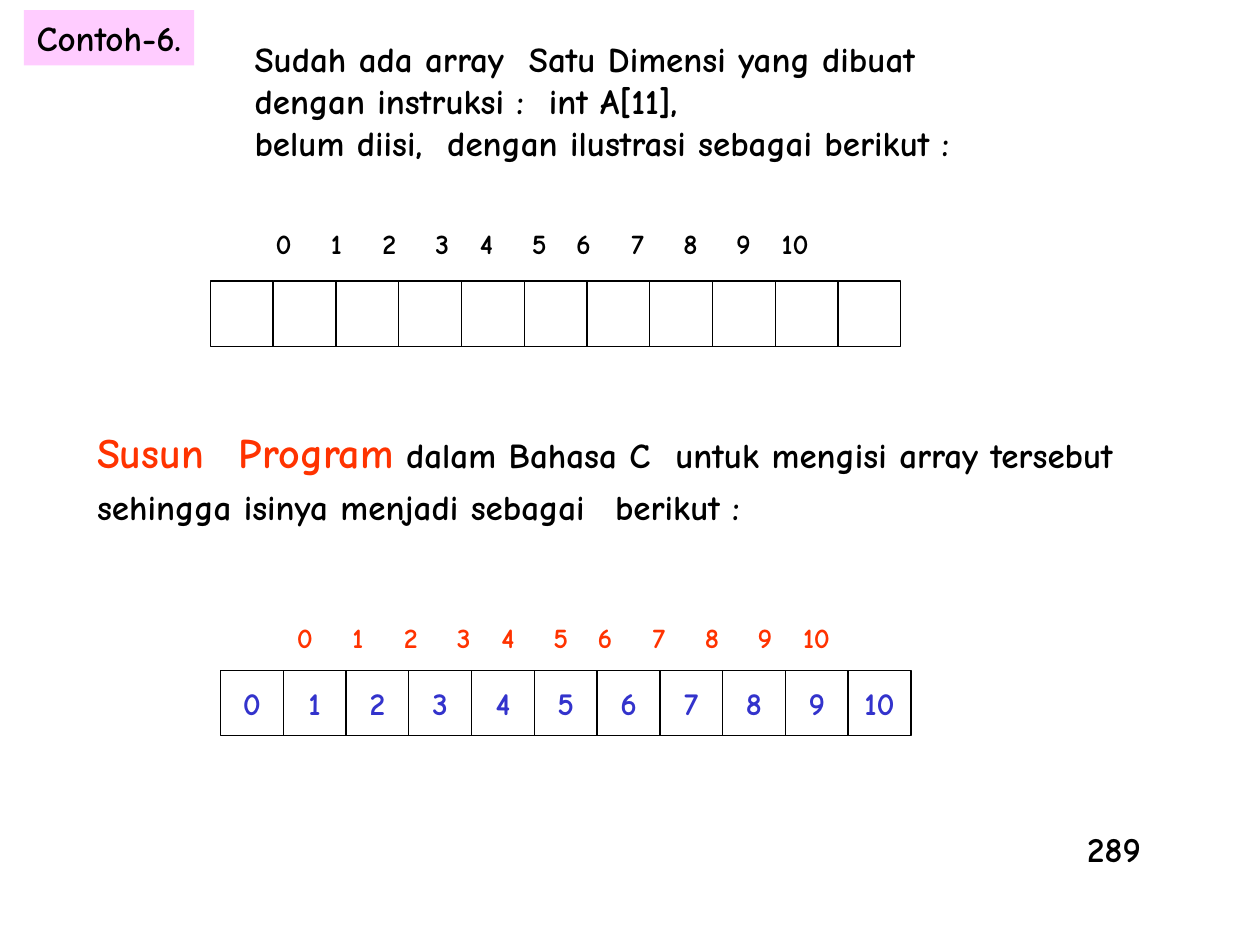
import pptx
import pptx.util
import pptx.dml.color
import pptx.enum.shapes
import pptx.enum.text
from lxml import etree

Inches, Pt = pptx.util.Inches, pptx.util.Pt
RGB = pptx.dml.color.RGBColor.from_string
ANCHOR, ALIGN = pptx.enum.text.MSO_ANCHOR, pptx.enum.text.PP_ALIGN
NO_FIT = pptx.enum.text.MSO_AUTO_SIZE.NONE
RECT = pptx.enum.shapes.MSO_SHAPE.RECTANGLE
A = "http://schemas.openxmlformats.org/drawingml/2006/main"

THEME = {
    "font": "Comic Neue",
    "ink": "000000", "accent": "FF3300", "value": "3333CC", "tag": "FFCCFF",
    "lead": 24, "gap": 28, "body": 20, "cell": 18, "index": 16,
}

# Content: a paragraph is a list of (text, size, colour) runs
HEADING = [[("Contoh-6.", "body", "ink")]]
PAGE = [[("289", "body", "ink")]]
INTRO = [
    [("Sudah ada array  Satu Dimensi yang dibuat dengan instruksi :  int A[11],",
      "body", "ink")],
    [("belum diisi,  dengan ilustrasi sebagai berikut :", "body", "ink")],
]
TASK = [[
    ("Susun", "lead", "accent"), ("  ", "gap", "accent"),
    ("Program", "lead", "accent"),
    (" dalam Bahasa C  untuk mengisi array tersebut sehingga isinya menjadi sebagai",
     "body", "ink"),
    ("  ", "lead", "ink"), ("berikut :", "body", "ink"),
]]
INDEXES = [str(i) for i in range(11)]
ARRAYS = [
    {"left": 1.67, "top": 2.23, "label_at": (2.11, 1.75), "colour": "ink",
     "values": [""] * 11, "grouped": True},
    {"left": 1.75, "top": 5.32, "label_at": (2.28, 4.88), "colour": "accent",
     "values": INDEXES, "grouped": False},
]

# Array grid, and centres of the index labels from the start of their row
CELL_W, CELL_H = 5.48 / 11, 0.52
INDEX_W, INDEX_H = 0.42, 0.37
INDEX_CENTRES = [0.14, 0.56, 0.98, 1.4, 1.75, 2.17, 2.52, 2.95, 3.37, 3.79, 4.2]


def add_text(shape, paragraphs, align=ALIGN.LEFT, anchor=ANCHOR.TOP, wrap=True):
    tf = shape.text_frame
    frame = {"auto_size": NO_FIT, "word_wrap": wrap, "vertical_anchor": anchor,
             "margin_left": Inches(0.1), "margin_right": Inches(0.1),
             "margin_top": Inches(0.05), "margin_bottom": Inches(0.05)}
    for name, value in frame.items():
        setattr(tf, name, value)
    for i, runs in enumerate(paragraphs):
        p = tf.add_paragraph() if i else tf.paragraphs[0]
        p.alignment, p.space_before = align, Pt(0)
        pPr = p._p.get_or_add_pPr()
        pPr.set("marL", "0")
        pPr.set("indent", "0")
        etree.SubElement(pPr, f"{{{A}}}buNone")
        for text, size, colour in runs:
            r = p.add_run()
            r.text = text
            font = {"name": THEME["font"], "size": Pt(THEME[size]), "bold": True}
            for name, value in font.items():
                setattr(r.font, name, value)
            r.font.color.rgb = RGB(THEME[colour])


def place(shape, *box):
    for name, value in zip(("left", "top", "width", "height"), box):
        setattr(shape, name, Inches(value))
    return shape


def add_box(shapes, *box):
    return shapes.add_textbox(*map(Inches, box))


def add_array(s, array):
    shapes = s.shapes.add_group_shape().shapes if array["grouped"] else s.shapes
    for i, value in enumerate(array["values"]):
        box = (array["left"] + i * CELL_W, array["top"], CELL_W, CELL_H)
        cell = shapes.add_shape(RECT, *map(Inches, box))
        cell.shadow.inherit = False
        cell.fill.background()
        cell.line.color.rgb = RGB(THEME["ink"])
        cell.line.width = Pt(0.75)
        if value:
            add_text(cell, [[(value, "cell", "value")]], ALIGN.CENTER,
                     ANCHOR.MIDDLE, wrap=False)
    left, top = array["label_at"]
    for index, centre in zip(INDEXES, INDEX_CENTRES):
        label = add_box(shapes, left + centre - INDEX_W / 2, top, INDEX_W, INDEX_H)
        add_text(label, [[(index, "index", array["colour"])]], ALIGN.CENTER, wrap=False)


def main():
    prs = pptx.Presentation()
    prs.slide_width, prs.slide_height = Inches(10), Inches(7.5)
    s = prs.slides.add_slide(prs.slide_layouts[3])
    title, intro, task = s.placeholders

    # Heading tag and prose
    title.fill.solid()
    title.fill.fore_color.rgb = RGB(THEME["tag"])
    add_text(place(title, 0.19, 0.08, 1.35, 0.44), HEADING, wrap=False)
    add_text(place(intro, 1.92, 0.25, 6.03, 1.1), INTRO)
    add_text(place(task, 0.67, 3.28, 8.92, 0.97), TASK)

    # Empty and filled arrays
    for array in ARRAYS:
        add_array(s, array)

    # Page number
    add_text(add_box(s.shapes, 8.53, 6.52, 0.62, 0.44), PAGE, wrap=False)
    prs.save("out.pptx")


if __name__ == "__main__":
    main()
